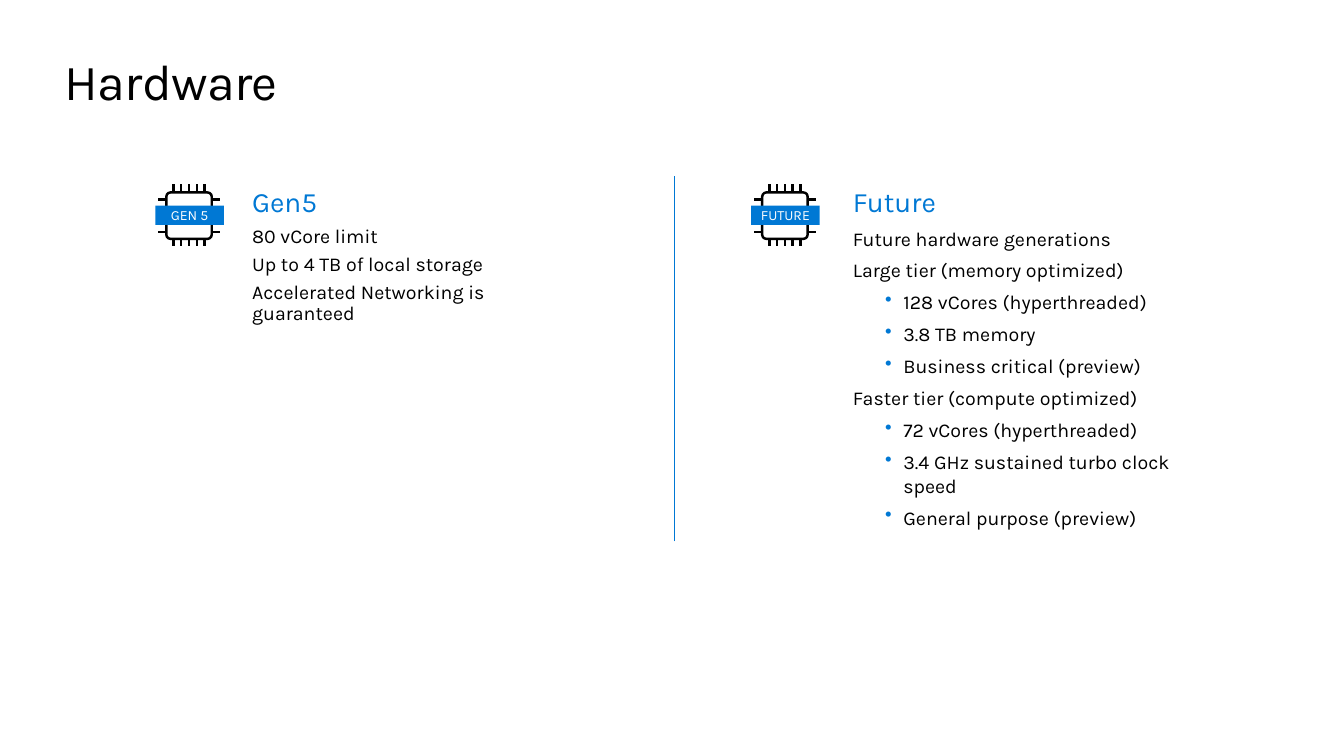
"""Build the Hardware slide comparing Gen5 with future generations."""
import dataclasses
import typing

import lxml.etree
import pptx
import pptx.dml.color
import pptx.enum.shapes
import pptx.enum.text
import pptx.oxml.ns
import pptx.util

Inches = pptx.util.Inches
Pt = pptx.util.Pt
Formats = dict[str, typing.Any]


@dataclasses.dataclass(frozen=True)
class Theme:
    """Colours and type sizes of the slide."""
    font: str = "Karla"
    accent: str = "0078D4"
    ink: str = "000000"
    paper: str = "FFFFFF"
    title: float = 36
    heading: float = 20
    body: float = 14
    label: float = 10
    pin: float = 1.75
    divider: float = 1


@dataclasses.dataclass(frozen=True)
class Item:
    """One line of a generation's description."""
    text: str
    bulleted: bool = False


@dataclasses.dataclass(frozen=True)
class Generation:
    """A hardware generation with its chip and description."""
    heading: str
    label: str
    chip_left: float
    text_box: tuple[float, float, float, float]
    spacing: Formats
    items: tuple[Item, ...]


THEME = Theme()
CHIP_TOP = 1.83
GENERATIONS = (
    Generation("Future", "FUTURE", 7.45, (8.46, 1.83, 3.66, 3.53), {"space_after": Pt(6)}, (
        Item("Future hardware generations"),
        Item("Large tier (memory optimized)"),
        Item("128 vCores (hyperthreaded)", True),
        Item("3.8 TB memory", True),
        Item("Business critical (preview)", True),
        Item("Faster tier (compute optimized)"),
        Item("72 vCores (hyperthreaded)", True),
        Item("3.4 GHz sustained turbo clock speed", True),
        Item("General purpose (preview)", True),
    )),
    Generation("Gen5", "GEN 5", 1.54, (2.5, 1.83, 3.32, 1.22),
               {"line_spacing": 0.9, "space_after": Pt(5)}, (
        Item("80 vCore limit"),
        Item("Up to 4 TB of local storage"),
        Item("Accelerated Networking is guaranteed"),
    )),
)


def apply(target: typing.Any, formats: Formats) -> None:
    """Set every attribute in the format values."""
    for name, value in formats.items():
        setattr(target, name, value)


def rgb(colour: str) -> pptx.dml.color.RGBColor:
    """Turn a hex value into a colour."""
    return pptx.dml.color.RGBColor.from_string(colour)


def write(paragraph: typing.Any, text: str, size: float, colour: str) -> typing.Any:
    """Add a run in the theme font and return it."""
    run = paragraph.add_run()
    run.text = text
    apply(run.font, {"name": THEME.font, "size": Pt(size)})
    run.font.color.rgb = rgb(colour)
    return run


def prepare(frame: typing.Any, anchor: typing.Any) -> None:
    """Give a text frame wrapping, no margins and an anchor."""
    margins = {f"margin_{side}": 0 for side in ("left", "top", "right", "bottom")}
    apply(frame, {"word_wrap": True, "vertical_anchor": anchor, **margins})


def add_text(slide: typing.Any, box: tuple[float, float, float, float]) -> typing.Any:
    """Add a text box and return its frame."""
    frame = slide.shapes.add_textbox(*map(Inches, box)).text_frame
    prepare(frame, pptx.enum.text.MSO_ANCHOR.TOP)
    return frame


def add_bullet(paragraph: typing.Any) -> None:
    """Indent a paragraph behind an accent bullet."""
    qn = pptx.oxml.ns.qn
    properties = paragraph._p.get_or_add_pPr()
    properties.set("marL", str(Inches(0.5)))
    properties.set("indent", str(Inches(-0.18)))
    colour = lxml.etree.SubElement(properties, qn("a:buClr"))
    lxml.etree.SubElement(colour, qn("a:srgbClr"), val=THEME.accent)
    lxml.etree.SubElement(properties, qn("a:buChar"), char="•")


def add_line(shapes: typing.Any, ends: tuple[float, float, float, float],
             colour: str, width: float) -> None:
    """Draw a straight line without a shadow."""
    straight = pptx.enum.shapes.MSO_CONNECTOR.STRAIGHT
    line = shapes.add_connector(straight, *map(Inches, ends))
    line.line.color.rgb = rgb(colour)
    line.line.width = Pt(width)
    lxml.etree.SubElement(line._element.spPr, pptx.oxml.ns.qn("a:effectLst"))


def add_chip(slide: typing.Any, generation: Generation) -> None:
    """Draw a labelled chip with pins on all four sides."""
    shapes = slide.shapes.add_group_shape().shapes
    preset = pptx.enum.shapes.MSO_SHAPE
    left, top = generation.chip_left, CHIP_TOP
    body = shapes.add_shape(preset.ROUNDED_RECTANGLE, Inches(left + 0.11),
                            Inches(top + 0.08), Inches(0.45), Inches(0.46))
    body.adjustments[0] = 0.09
    body.shadow.inherit = False
    body.fill.background()
    body.line.color.rgb = rgb(THEME.ink)
    body.line.width = Pt(THEME.pin)

    columns = [left + 0.18 + 0.0775 * index for index in range(5)]
    rows = [top + offset for offset in (0.15, 0.39, 0.47)]
    pins = [(x, top + start, x, top + start + 0.07) for start in (0, 0.54) for x in columns]
    pins += [(left + start, y, left + start + 0.07, y) for start in (0.03, 0.57) for y in rows]
    for pin in pins:
        add_line(shapes, pin, THEME.ink, THEME.pin)

    band = shapes.add_shape(preset.RECTANGLE, Inches(left), Inches(top + 0.21),
                            Inches(0.68), Inches(0.19))
    band.shadow.inherit = False
    band.fill.solid()
    band.fill.fore_color.rgb = rgb(THEME.accent)
    band.line.fill.background()
    prepare(band.text_frame, pptx.enum.text.MSO_ANCHOR.MIDDLE)
    label = band.text_frame.paragraphs[0]
    label.alignment = pptx.enum.text.PP_ALIGN.CENTER
    write(label, generation.label, THEME.label, THEME.paper)


def add_description(slide: typing.Any, generation: Generation) -> None:
    """Write a generation's heading and items."""
    frame = add_text(slide, generation.text_box)
    heading = frame.paragraphs[0]
    heading.space_after = Pt(6)
    write(heading, generation.heading, THEME.heading, THEME.accent)
    for item in generation.items:
        paragraph = frame.add_paragraph()
        if item.bulleted:
            paragraph.level = 1
            add_bullet(paragraph)
        apply(paragraph, generation.spacing)
        write(paragraph, item.text, THEME.body, THEME.ink)


def main() -> None:
    """Build and save the slide."""
    deck = pptx.Presentation()
    apply(deck, {"slide_width": Inches(13.33), "slide_height": Inches(7.5)})
    slide = deck.slides.add_slide(deck.slide_layouts[6])
    title = add_text(slide, (0.64, 0.5, 12.05, 0.61)).paragraphs[0]
    run = write(title, "Hardware", THEME.title, THEME.ink)
    run.font._element.set("spc", "-50")
    for generation in GENERATIONS:
        add_description(slide, generation)
    add_line(slide.shapes, (6.69, 5.37, 6.69, 1.75), THEME.accent, THEME.divider)
    for generation in reversed(GENERATIONS):
        add_chip(slide, generation)
    deck.save("out.pptx")


if __name__ == "__main__":
    main()
